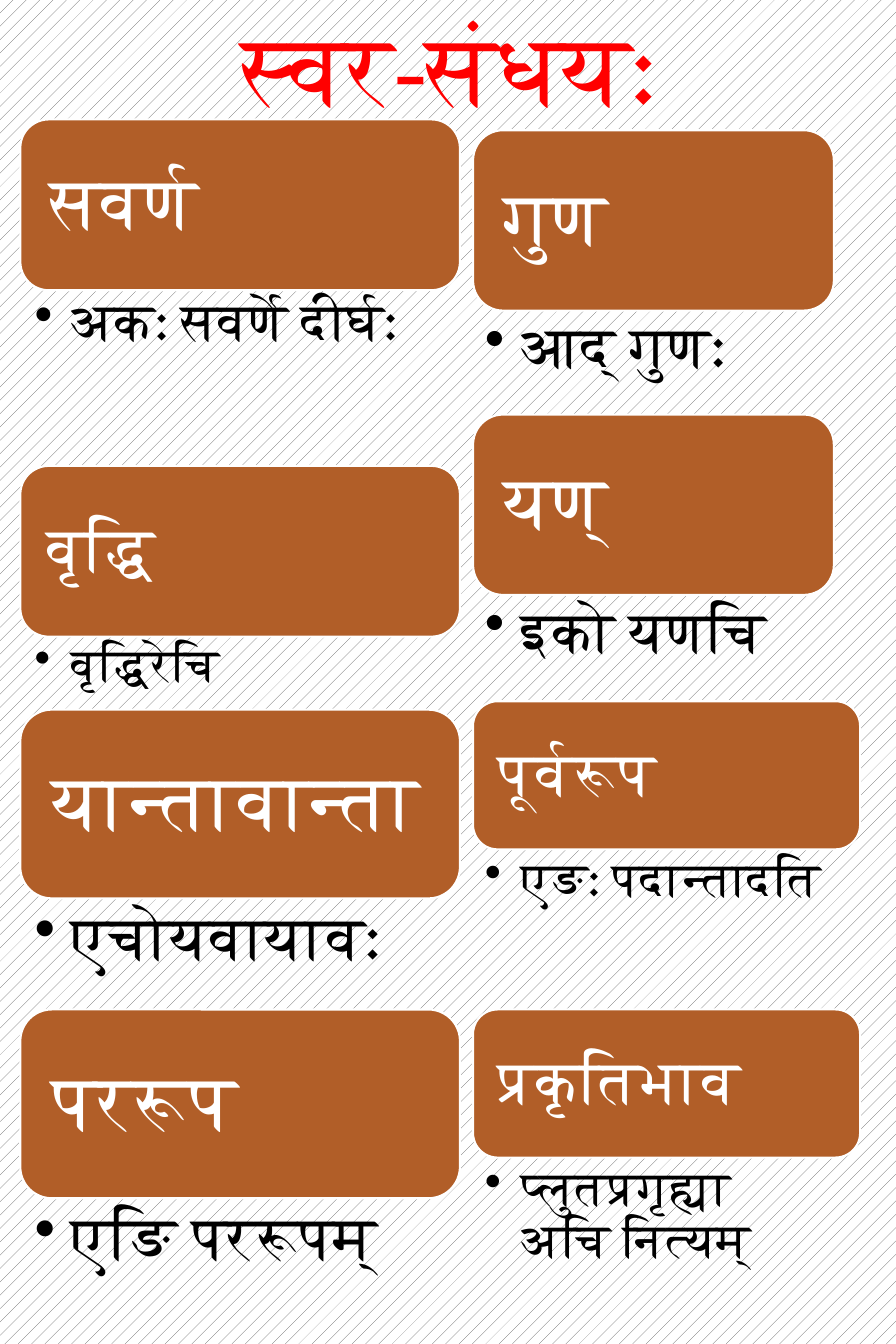
from pptx import Presentation
from pptx.dml.color import RGBColor
from pptx.enum.dml import MSO_PATTERN
from pptx.enum.shapes import MSO_SHAPE
from pptx.enum.text import MSO_ANCHOR, MSO_AUTO_SIZE, PP_ALIGN
from pptx.oxml.ns import qn
from pptx.util import Inches, Pt
from lxml.etree import SubElement

FONT = "Times New Roman"
RED = RGBColor(0xFF, 0, 0)
BROWN = RGBColor(0xB1, 0x5E, 0x28)
WHITE = RGBColor(0xFF, 0xFF, 0xFF)
BLACK = RGBColor(0, 0, 0)
GREY = RGBColor(0x59, 0x59, 0x59)

TITLE = "स्वर-संधयः"
INDENT = 0.31

# Group: left, top, width, card height, note insets (left, top and bottom, right)
# Card: name, name size, rule, rule size, rule height
GROUPS = [
    ((3.96, 1.09, 3.02, 1.51), (0.1, 0.06, 0.35), [
        ("गुण", 45, "आद् गुणः", 35, 0.87),
        ("यण्", 45, "इको यणचि", 35, 0.87),
    ]),
    ((0.17, 1, 3.68, 1.43), (0.12, 0.04, 0.25), [
        ("सवर्ण", 44, "अकः सवर्णे दीर्घः", 32, 1.47),
        ("वृद्धि", 38, "वृद्धिरेचि", 28, 0.69),
    ]),
    ((0.17, 5.94, 3.68, 1.58), (0.12, 0.07, 0.37), [
        ("यान्तावान्ता", 47, "एचोयवायावः", 37, 0.93),
        ("पररूप", 47, "एङि पररूपम्", 37, 0.93),
    ]),
    ((3.96, 5.87, 3.24, 1.24), (0.1, 0.05, 0.29), [
        ("पूर्वरूप", 37, "एङः पदान्तादति", 29, 1.34),
        ("प्रकृतिभाव", 37, "प्लुतप्रगृह्या अचि नित्यम्", 29, 1.34),
    ]),
]


def write(frame, text, size, color, spacing=None):
    frame.text = text
    frame.word_wrap = True
    para = frame.paragraphs[0]
    para.alignment = PP_ALIGN.LEFT
    para.line_spacing = spacing
    run = para.runs[0]
    run.font.size = Pt(size)
    run.font.name = FONT
    run.font.color.rgb = color
    # Devanagari takes its typeface from the complex-script slot
    SubElement(run.font._element, qn("a:cs"), typeface=FONT)
    return para


def inset(frame, left, edge, right):
    frame.margin_left, frame.margin_right = Inches(left), Inches(right)
    frame.margin_top = frame.margin_bottom = Inches(edge)


def add_card(slide, box, name, size):
    card = slide.shapes.add_shape(MSO_SHAPE.ROUNDED_RECTANGLE, *map(Inches, box))
    card.shadow.inherit = False
    card.fill.solid()
    card.fill.fore_color.rgb = BROWN
    card.line.color.rgb = WHITE
    card.line.width = Pt(1.25)
    frame = card.text_frame
    frame.vertical_anchor = MSO_ANCHOR.MIDDLE
    pad = size / 240
    inset(frame, pad, pad, pad)
    write(frame, name, size, WHITE, 0.9)


def add_rule(slide, box, pads, text, size):
    frame = slide.shapes.add_textbox(*map(Inches, box)).text_frame
    inset(frame, *pads)
    para = write(frame, text, size, BLACK, 0.9)
    para.level = 1
    props = para._p.get_or_add_pPr()
    props.set("marL", str(Inches(INDENT)))
    props.set("indent", str(-Inches(INDENT)))
    SubElement(props, qn("a:buChar"), char="•")


def main():
    deck = Presentation()
    deck.slide_width, deck.slide_height = Inches(7.5), Inches(11.25)
    slide = deck.slides.add_slide(deck.slide_layouts[5])
    back = slide.background.fill
    back.patterned()
    back.pattern = MSO_PATTERN.PERCENT_10
    back.fore_color.rgb, back.back_color.rgb = GREY, WHITE

    for (left, top, width, height), pads, cards in GROUPS:
        for name, size, rule, small, depth in cards:
            add_card(slide, (left, top, width, height), name, size)
            add_rule(slide, (left, top + height, width, depth), pads, rule, small)
            top += height + depth

    title = slide.shapes.title
    title.left, title.top = Inches(1.93), Inches(-0.01)
    title.width, title.height = Inches(5.16), Inches(1.11)
    frame = title.text_frame
    frame.vertical_anchor = MSO_ANCHOR.TOP
    frame.auto_size = MSO_AUTO_SIZE.SHAPE_TO_FIT_TEXT
    write(frame, TITLE, 60, RED)

    deck.save("out.pptx")


if __name__ == "__main__":
    main()
